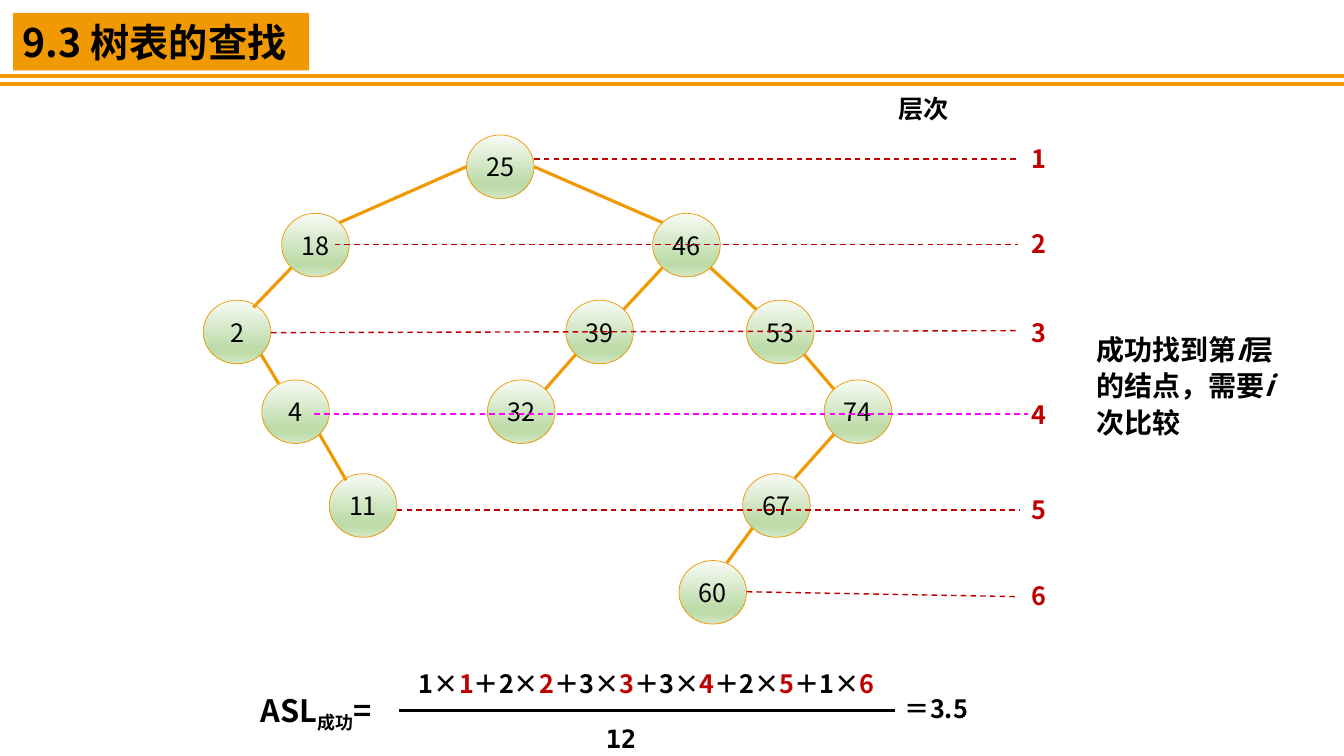
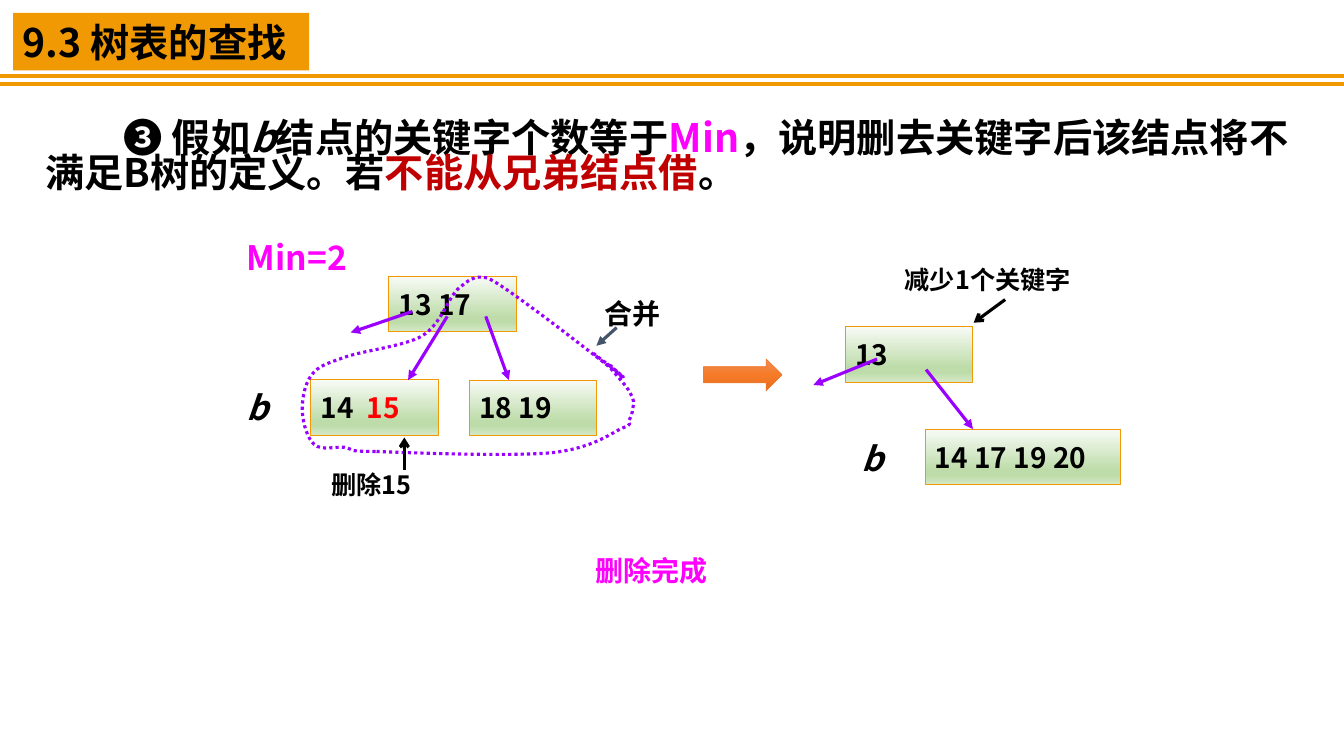
from lxml import etree
from pptx import Presentation
from pptx.dml.color import RGBColor
from pptx.enum.dml import MSO_LINE
from pptx.enum.shapes import MSO_CONNECTOR, MSO_SHAPE
from pptx.enum.text import MSO_ANCHOR, PP_ALIGN
from pptx.oxml.ns import qn
from pptx.util import Pt

RECT, OVAL, ARROW = MSO_SHAPE.RECTANGLE, MSO_SHAPE.OVAL, MSO_SHAPE.RIGHT_ARROW
STRAIGHT = MSO_CONNECTOR.STRAIGHT
DASH, DOTS = MSO_LINE.DASH, MSO_LINE.ROUND_DOT
TOP, MIDDLE = MSO_ANCHOR.TOP, MSO_ANCHOR.MIDDLE
LEFT, CENTER, JUSTIFY = PP_ALIGN.LEFT, PP_ALIGN.CENTER, PP_ALIGN.JUSTIFY

ORANGE = RGBColor(0xF1, 0x99, 0x03)
RUST = RGBColor(0xED, 0x7D, 0x31)
RED = RGBColor(0xC0, 0x00, 0x00)
BRIGHT = RGBColor(0xFF, 0x00, 0x00)
PINK = RGBColor(0xFF, 0x00, 0xFF)
VIOLET = RGBColor(0x99, 0x00, 0xFF)
SLATE = RGBColor(0x44, 0x54, 0x6A)
BLACK = RGBColor(0x00, 0x00, 0x00)
WHITE = RGBColor(0xFF, 0xFF, 0xFF)

GREENS = [(0, "F8FBF6"), (74, "BEDCAA"), (83, "BEDCAA"), (100, "D4E8C6")]
EMBERS = [(0, "F18C57"), (50, "F67B28"), (100, "E56C19")]

SANS, MONO = "Noto Sans CJK SC", "DejaVu Sans Mono"
WIDE, HIGH = 960, 540
INSET = (7.2, 3.6, 7.2, 3.6)
FLUSH = (0, 0, 0, 0)


# Basic parts
def write(shape, runs, size, color=BLACK, inset=INSET, anchor=TOP,
          align=LEFT, gap=1.0, bold=True, name=SANS):
    """Fill a shape with one paragraph; a run is text or (text, format)."""
    frame = shape.text_frame
    frame.word_wrap = True
    frame.vertical_anchor = anchor
    for side, val in zip(("left", "top", "right", "bottom"), inset):
        setattr(frame, "margin_" + side, Pt(val))
    para = frame.paragraphs[0]
    para.alignment, para.line_spacing = align, gap
    for item in [runs] if isinstance(runs, str) else runs:
        words, extra = (item, {}) if isinstance(item, str) else item
        look = {"size": Pt(size), "bold": bold, "name": name, "color": color,
                "base": None, **extra}
        tint, base = look.pop("color"), look.pop("base")
        run = para.add_run()
        run.text = words
        for key, val in look.items():
            setattr(run.font, key, val)
        run.font.color.rgb = tint
        props = run.font._element
        etree.SubElement(props, qn("a:ea")).set("typeface", name)
        if base:
            props.set("baseline", str(base * 1000))
    return para


def label(slide, x, y, w, h, runs, size, color=BLACK, **look):
    box = slide.shapes.add_textbox(Pt(x), Pt(y), Pt(w), Pt(h))
    return write(box, runs, size, color, **look)


def block(slide, kind, x, y, w, h, fill, edge=None):
    """Preset shape; fill is a colour or a list of gradient stops."""
    shape = slide.shapes.add_shape(kind, Pt(x), Pt(y), Pt(w), Pt(h))
    shape.shadow.inherit = False
    if isinstance(fill, list):
        shape.fill.gradient()
        shape.fill.gradient_angle = 270
        stops = shape._element.spPr.find(".//" + qn("a:gsLst"))
        for old in list(stops):
            stops.remove(old)
        for pos, code in fill:
            stop = etree.SubElement(stops, qn("a:gs"), pos=str(pos * 1000))
            etree.SubElement(stop, qn("a:srgbClr"), val=code)
    else:
        shape.fill.solid()
        shape.fill.fore_color.rgb = fill
    if edge is None:
        shape.line.fill.background()
    else:
        shape.line.color.rgb = edge
        shape.line.width = Pt(0.5)
    return shape


def line(slide, x1, y1, x2, y2, color, width=2.25, dash=None, tip=None):
    link = slide.shapes.add_connector(STRAIGHT, Pt(x1), Pt(y1), Pt(x2), Pt(y2))
    link.line.color.rgb = color
    link.line.width = Pt(width)
    if dash is not None:
        link.line.dash_style = dash
    if tip:
        etree.SubElement(link.line._get_or_add_ln(), qn("a:tailEnd"), type=tip)
    etree.SubElement(link._element.spPr, qn("a:effectLst"))


def key_box(slide, x, y, w, runs):
    box = block(slide, RECT, x, y, w, 39.6, GREENS, ORANGE)
    return write(box, runs, 20, anchor=MIDDLE)


# Title band on every slide
def header(slide):
    band = block(slide, RECT, 9.3, 9.3, 211.5, 41, ORANGE)
    write(band, "9.3 树表的查找", 28)
    for y in (54.5, 60.2):
        line(slide, 0, y, WIDE, y, ORANGE, 3)


# Search tree: key -> left, level, parent, nudge of the upper edge end
NODE_W, NODE_H = 48.3, 45.4
LEVELS = [0, 56, 118, 175, 242, 304]
NODES = {
    25: (188, 0, None, (0, 0)),
    18: (56, 1, 25, (0, 0)),
    2: (0, 2, 18, (-5.5, -1.5)),
    4: (41.8, 3, 2, (5, -4)),
    11: (90, 4, 4, (5, -2)),
    46: (321, 1, 25, (0, 0)),
    39: (259, 2, 46, (0, 0)),
    32: (203, 3, 39, (0, 0)),
    53: (388, 2, 46, (0, 0)),
    74: (443.5, 3, 53, (0, 0)),
    67: (385.3, 4, 74, (-4, -3.5)),
    60: (339.8, 5, 67, (-7, -5)),
}


def tree(slide, x, y):
    near, far = 0.146, 0.854
    for key, (left, level, top, nudge) in NODES.items():
        cx, cy = x + left, y + LEVELS[level]
        node = block(slide, OVAL, cx, cy, NODE_W, NODE_H, GREENS, ORANGE)
        write(node, str(key), 18, inset=(0, 3.6, 0, 3.6), anchor=MIDDLE,
              align=CENTER, bold=False)
        if top is None:
            continue
        # Root edges leave from its sides, others from the lower corners
        px, depth = x + NODES[top][0], NODES[top][1]
        py = y + LEVELS[depth]
        lefty = cx < px
        out, drop = (near, far) if depth else (0, 0.5)
        start = out if lefty else 1 - out
        end = far if lefty else near
        line(slide, px + start * NODE_W, py + drop * NODE_H,
             cx + end * NODE_W + nudge[0], cy + near * NODE_H + nudge[1],
             ORANGE)


# Level rulers: label top, line start, line end, colour
RULERS = [
    (35.6, (188, 50.6), (534.5, 50.6), RED),
    (96.2, (45.5, 111.7), (534, 111.7), RED),
    (160.2, (0.2, 174.6), (534.5, 173.2), RED),
    (218.5, (31, 232.7), (541, 232.7), PINK),
    (286.2, (90, 301.2), (534.5, 301.2), RED),
    (348.1, (340, 359.7), (534.5, 363.2), RED),
]


def rulers(slide, x, y):
    label(slide, x + 441, y + 0.3, 73.5, 29, "层次", 18)
    for num, (top, (x1, y1), (x2, y2), color) in enumerate(RULERS, 1):
        label(slide, x + 536.5, y + top, 34, 29, str(num), 18, RED)
        line(slide, x + x1, y + y1, x + x2, y + y2, color, 1, DASH)


# Average search length
def formula(slide, x, y):
    label(slide, x, y + 17, 106, 34,
          ["ASL", ("成功", {"base": -25}), "="], 22, gap=0.9)
    runs = []
    for depth, count in enumerate((1, 2, 3, 3, 2, 1), 1):
        sign = "＋" if depth > 1 else ""
        runs += [f"{sign}{count}×", (str(depth), {"color": RED})]
    label(slide, x + 113, y, 408, 29, runs, 18)
    label(slide, x + 246.5, y + 39.6, 51, 29, "12", 18, name=MONO)
    label(slide, x + 460, y + 18, 73.5, 29, "＝3.5", 18)
    line(slide, x + 106, y + 33.9, x + 460, y + 33.9, BLACK)


def search(slide):
    header(slide)
    tree(slide, 145.2, 96.4)
    formula(slide, 179.2, 473.7)
    slant = ("i", {"italic": True})
    label(slide, 776, 232, 140.5, 85.5,
          ["成功找到第", slant, "层的结点，需要", slant, "次比较"], 20,
          gap=Pt(26))
    rulers(slide, 193.5, 63)


# Case statement
def lead(slide, x, y, w, h):
    box = block(slide, RECT, x, y, w, h, WHITE)
    para = write(box, ["❸ 假如", ("b", {"italic": True}),
                       "结点的关键字个数等于", ("Min", {"color": PINK}),
                       "，说明删去关键字后该结点将不满足B树的定义。若",
                       ("不能从兄弟结点借", {"color": RED}), "。"], 28,
                 inset=(11.5, 8.6, 7.2, 8.6), align=JUSTIFY, gap=Pt(25))
    para._p.get_or_add_pPr().set("indent", str(Pt(56)))


# Merge outline: first point, then cubic curves (two handles and an end)
START = (93, 153.5)
CURVES = [
    (117, 154.5, 187.5, 157, 217, 154.5), (246, 151.5, 259, 141.5, 268, 137),
    (277.5, 133.5, 272, 134, 273.5, 131), (274.5, 129, 276, 125.5, 276, 122.5),
    (277, 119, 277, 117, 274.5, 112.5), (272, 107.5, 272, 108, 261, 95),
    (250, 81.5, 271, 102.5, 269, 101), (267, 99, 248, 84.5, 248, 83.5),
    (248, 83.5, 275.5, 104.5, 268, 99.5), (261, 94.5, 221.5, 63.5, 205.5, 52),
    (190, 40.5, 178, 32, 172, 29.5), (162.5, 27.5, 159, 31, 151, 37.5),
    (143.5, 45, 139.5, 62, 125.5, 71), (112.5, 78.5, 82.5, 81.5, 69.5, 86.5),
    (56.5, 91, 51.5, 92.5, 46.5, 99), (41.5, 105.5, 39.5, 117, 40, 125.5),
    (40.5, 133.5, 43.5, 144, 48.5, 148.5), (53.5, 153, 63, 150, 70, 150.5),
    (78, 152, 69, 153.5, 93, 153.5),
]


def loop(slide, x, y):
    pen = slide.shapes.build_freeform(Pt(x + START[0]), Pt(y + START[1]))
    pen.add_line_segments([(Pt(x + c[4]), Pt(y + c[5])) for c in CURVES],
                          close=True)
    shape = pen.convert_to_shape()
    # Turn each straight segment into its cubic curve
    sides = list(shape._element.iter(qn("a:lnTo")))
    for side, curve in zip(sides, CURVES):
        side.tag = qn("a:cubicBezTo")
        side.remove(side[0])
        for px, py in zip(curve[::2], curve[1::2]):
            etree.SubElement(side, qn("a:pt"), x=str(Pt(x + px) - shape.left),
                             y=str(Pt(y + py) - shape.top))
    shape.shadow.inherit = False
    shape.fill.background()
    shape.line.color.rgb = VIOLET
    shape.line.width = Pt(2.25)
    shape.line.dash_style = DOTS


def arrows(slide, x, y, ends, color, tip="triangle"):
    for x1, y1, x2, y2 in ends:
        line(slide, x + x1, y + y1, x + x2, y + y2, color, tip=tip)


def mark(slide, x, y):
    label(slide, x, y, 51, 29, [("b", {"italic": True})], 24, inset=FLUSH)


# Nodes before the merge
def before(slide, x, y):
    para = key_box(slide, x + 46, y + 102.2, 91,
                   ["14\t", ("15", {"color": BRIGHT})])
    tabs = etree.SubElement(para._p.get_or_add_pPr(), qn("a:tabLst"))
    etree.SubElement(tabs, qn("a:tab"), pos=str(Pt(33)), algn="l")
    key_box(slide, x + 101.7, y + 28.2, 91, "13 17")
    key_box(slide, x + 159.2, y + 102.4, 91, "18 19")
    mark(slide, x + 0.4, y + 107.5)
    label(slide, x + 0.4, y, 91, 29, "Min=2", 24, PINK, inset=FLUSH)
    arrows(slide, x, y, [(143.5, 57, 115.5, 102.5), (171, 57, 187.5, 102.5),
                         (118.5, 53.5, 74.5, 68.5)], VIOLET)
    loop(slide, x, y)
    arrows(slide, x, y, [(264.5, 65, 250, 78)], SLATE)
    label(slide, x + 256, y + 42.5, 63, 24.5, "合并", 20, inset=FLUSH)
    label(slide, x + 60.8, y + 166.5, 96, 22, "删除15", 18, inset=FLUSH)
    arrows(slide, x, y, [(112.8, 166.5, 112.8, 143.5)], BLACK, "arrow")


# Nodes after the merge
def after(slide, x, y):
    mark(slide, x + 34.5, y + 127.5)
    key_box(slide, x + 22.9, y + 48.2, 91, "13")
    key_box(slide, x + 79.7, y + 121.6, 139.7, "14 17 19 20")
    arrows(slide, x, y, [(80.5, 79, 114, 121.5), (45.5, 71.5, 0, 90)], VIOLET)
    label(slide, x + 58.2, y, 158, 29, "减少1个关键字", 18)
    arrows(slide, x, y, [(137, 29, 114.5, 45.5)], BLACK, "arrow")


def merge(slide):
    header(slide)
    lead(slide, 20.7, 81, 907, 67.7)
    before(slide, 176, 169)
    after(slide, 581, 185)
    block(slide, ARROW, 502.5, 256.5, 56, 22.5, EMBERS, RUST)
    label(slide, 418.5, 391.7, 158, 32, "删除完成", 20, PINK)


def main():
    deck = Presentation()
    deck.slide_width, deck.slide_height = Pt(WIDE), Pt(HIGH)
    for build in (search, merge):
        build(deck.slides.add_slide(deck.slide_layouts[6]))
    deck.save("out.pptx")


if __name__ == "__main__":
    main()
